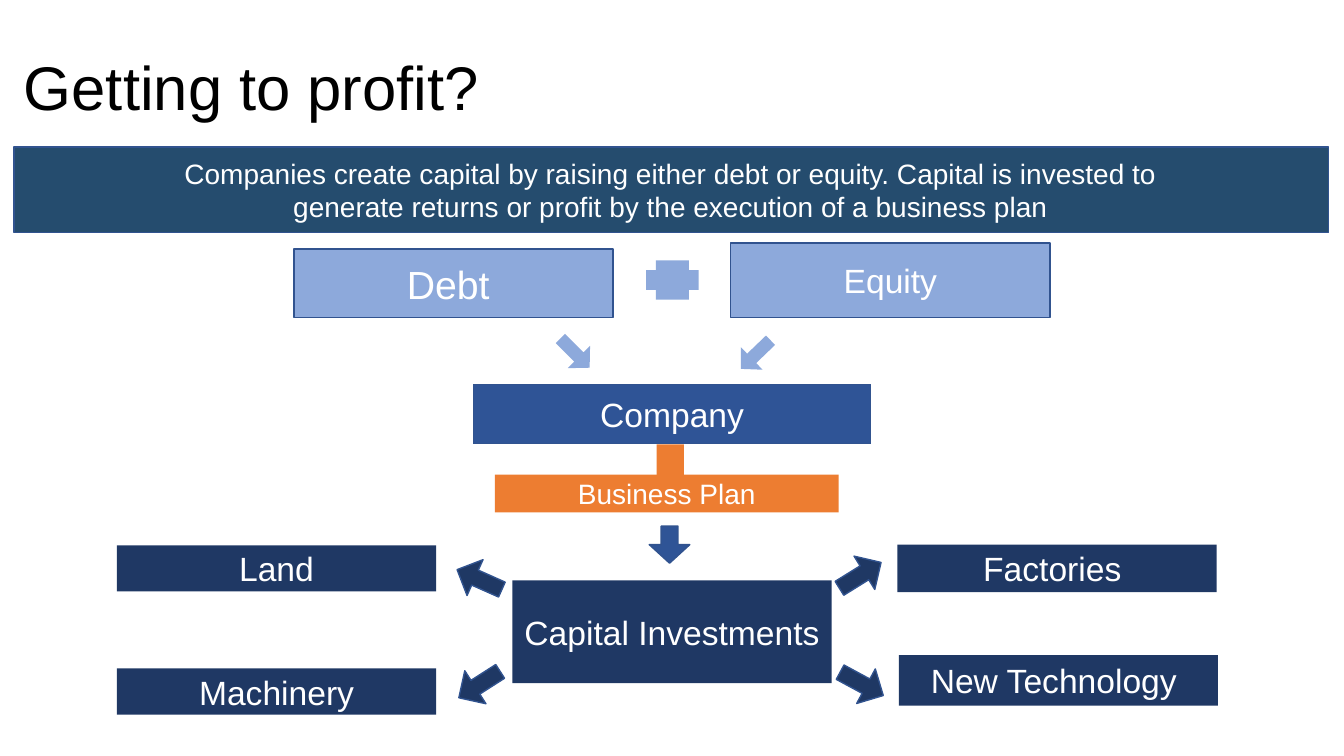
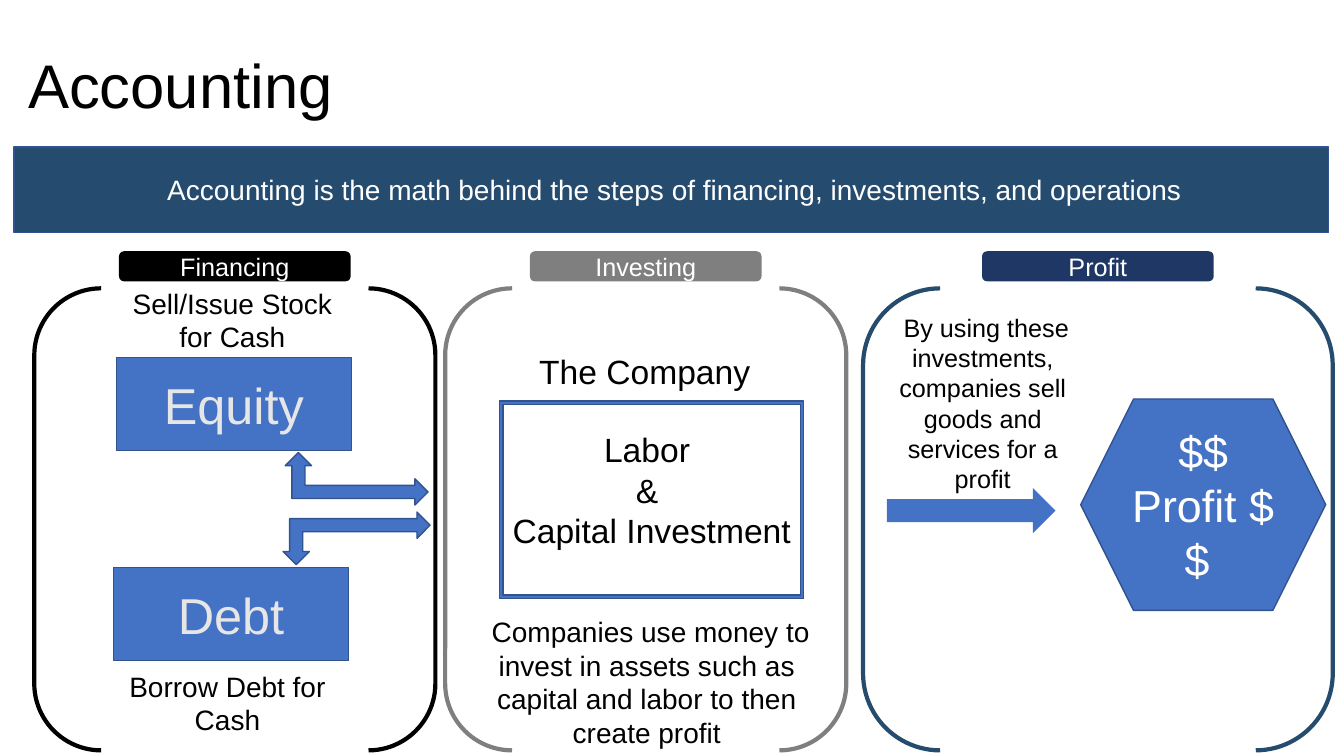
from lxml.etree import SubElement
from pptx import Presentation
from pptx.dml.color import RGBColor
from pptx.enum.shapes import MSO_SHAPE
from pptx.enum.text import MSO_ANCHOR, PP_ALIGN
from pptx.util import Pt

COLORS = {
    "band": "254C6E", "outline": "31538F", "light": "8DA9DB", "medium": "2F5496",
    "dark": "1F3864", "navy": "1F3764", "blue": "4472C4", "orange": "ED7D31",
    "gray": "7F7F7F", "pale": "E7E6E6", "white": "FFFFFF", "black": "000000",
}
FONT = "Arial"
SLIDE_SIZE = (960, 540)
BAND = (10, 105, 939, 61)
TITLE_SIZE = (939, 72)
CAPTION_WIDTH = 760

PROFIT_HEADER = {
    "title": "Getting to profit?",
    "title_at": (10, 29),
    "caption": "Companies create capital by raising either debt or equity. Capital is invested to "
               "generate returns or profit by the execution of a business plan",
    "caption_left": 99,
}
ACCOUNTING_HEADER = {
    "title": "Accounting",
    "title_at": (13, 27),
    "caption": "Accounting is the math behind the steps of financing, investments, and operations",
    "caption_left": 102,
}

FLOW_BOXES = [
    ("Debt ", (210, 178, 228, 49), "light", "outline", 28),
    ("Equity", (522, 173.5, 228, 53.5), "light", "outline", 24),
    ("Company", (338, 274.5, 284, 42.5), "medium", "outline", 24),
    ("Factories ", (641, 389, 228, 34), "dark", None, 24),
    ("New Technology ", (642, 468, 228, 36), "dark", None, 24),
    ("Machinery", (83.5, 477.5, 228, 33), "dark", None, 24),
    ("Land", (83.5, 389.5, 228, 33), "dark", None, 24),
    ("Capital Investments", (366, 414.5, 228, 73.5), "dark", None, 24),
    ("", (469, 317.5, 19.5, 24.5), "orange", None, 20),
    ("Business Plan", (353.5, 339, 245.5, 27), "orange", None, 20),
]
FUNDING_ARROWS = [((396, 241), 45), ((525, 242), 136.1)]
INVESTMENT_ARROWS = [
    ((597, 397), 328.1), ((598, 474.5), 28.4), ((325, 475), 147.4), ((325, 400), 204),
]

FINANCING_BOXES = [("Equity", (83, 255.5)), ("Debt", (81, 405.5))]
FINANCING_BOX_SIZE = (168, 66.5)
FINANCING_ARROWS = [((236, 291, 37.5, 102), False), ((236, 332, 37.5, 105), True)]
NOTES = [
    ("Sell/Issue Stock for Cash", (84, 201, 164, 55.5), 20, PP_ALIGN.CENTER),
    ("Borrow Debt for Cash", (80.5, 474.5, 164, 55.5), 20, PP_ALIGN.CENTER),
    ("Labor \n& \nCapital Investment", (357, 303, 217, 94.5), 24, PP_ALIGN.CENTER),
    ("The Company", (378, 247, 168, 36), 24, PP_ALIGN.LEFT),
    (" Companies use money to invest in assets such as capital and labor to then create profit",
     (330, 435.5, 264, 104.5), 20, PP_ALIGN.CENTER),
    (" By using these investments, companies sell goods and services for a profit",
     (620, 219.5, 164, 138), 18, PP_ALIGN.CENTER),
]
COLUMNS = [
    ("Financing", 24.5, 286.5, "black", "black"),
    ("Investing", 318, 286.5, "gray", "gray"),
    ("Profit", 616.5, 335.5, "band", "navy"),
]
BRACKET_TOP, BRACKET_HEIGHT = 206, 330
LABEL_TOP, LABEL_WIDTH, LABEL_HEIGHT = 179.5, 165.5, 21.5


def color(name):
    return RGBColor.from_string(COLORS[name])


def write(shape, text, size=20, ink="white", align=PP_ALIGN.CENTER,
          anchor=MSO_ANCHOR.MIDDLE, spacing=None):
    frame = shape.text_frame
    frame.word_wrap = True
    frame.vertical_anchor = anchor
    for index, line in enumerate(text.split("\n")):
        paragraph = frame.paragraphs[0] if index == 0 else frame.add_paragraph()
        paragraph.alignment = align
        paragraph.line_spacing = spacing
        run = paragraph.add_run()
        run.text = line
        run.font.name = FONT
        run.font.size = Pt(size)
        run.font.color.rgb = color(ink)


def add_text(slide, text, box, **style):
    write(slide.shapes.add_textbox(*map(Pt, box)), text, **style)


def add_shape(slide, box, fill=None, line=None, preset=MSO_SHAPE.RECTANGLE, width=1,
              rotation=0, adjustments=(), flipped=False):
    shape = slide.shapes.add_shape(preset, *map(Pt, box))
    shape.shadow.inherit = False
    shape.rotation = rotation
    for index, value in enumerate(adjustments):
        shape.adjustments[index] = value
    if fill:
        shape.fill.solid()
        shape.fill.fore_color.rgb = color(fill)
    else:
        shape.fill.background()
    if line:
        shape.line.color.rgb = color(line)
        shape.line.width = Pt(width)
    else:
        shape.line.fill.background()
    if flipped:
        shape._element.spPr.xfrm.set("flipH", "1")
    return shape


def add_arrow(slide, box, fill, line=None, rotation=0, adjustments=(0.415, 0.5)):
    add_shape(slide, box, fill, line, MSO_SHAPE.RIGHT_ARROW,
              rotation=rotation, adjustments=adjustments)


def start_slide(presentation, header):
    slide = presentation.slides.add_slide(presentation.slide_layouts[6])
    add_shape(slide, BAND, "band", "outline")
    caption_box = (header["caption_left"], BAND[1], CAPTION_WIDTH, BAND[3])
    add_text(slide, header["caption"], caption_box)
    add_text(slide, header["title"], header["title_at"] + TITLE_SIZE, size=44, ink="black",
             align=PP_ALIGN.LEFT, spacing=0.9)
    return slide


def build_profit(presentation):
    slide = start_slide(presentation, PROFIT_HEADER)
    for text, box, fill, line, size in FLOW_BOXES:
        shape = add_shape(slide, box, fill, line)
        if text:
            write(shape, text, size=size)
    add_shape(slide, (461.5, 186, 37.5, 28), "light", preset=MSO_SHAPE.CROSS)
    for position, rotation in FUNDING_ARROWS:
        add_arrow(slide, position + (29.5, 22.5), "light", rotation=rotation,
                  adjustments=(0.415, 0.48))
    add_arrow(slide, (465, 374.5, 26.5, 29), "medium", "outline", 90)
    for position, rotation in INVESTMENT_ARROWS:
        add_arrow(slide, position + (35, 28), "dark", "outline", rotation)


def build_accounting(presentation):
    slide = start_slide(presentation, ACCOUNTING_HEADER)
    for text, position in FINANCING_BOXES:
        shape = add_shape(slide, position + FINANCING_BOX_SIZE, "blue", "outline")
        write(shape, text, size=36, ink="pale")
    for box, flipped in FINANCING_ARROWS:
        add_shape(slide, box, "blue", "outline", MSO_SHAPE.LEFT_UP_ARROW,
                  rotation=90, flipped=flipped)
    add_shape(slide, (357, 286.5, 217, 141), "blue", "outline", MSO_SHAPE.FRAME,
              adjustments=(0.017,))
    add_arrow(slide, (633.5, 348.5, 120.5, 32.5), "blue", adjustments=(0.5, 0.5))
    hexagon = add_shape(slide, (772, 285, 175, 151), "blue", "outline", MSO_SHAPE.HEXAGON)
    write(hexagon, "$$ Profit $$ ", size=32)
    for text, box, size, align in NOTES:
        add_text(slide, text, box, size=size, ink="black", align=align, anchor=MSO_ANCHOR.TOP)
    for text, left, width, line, fill in COLUMNS:
        add_shape(slide, (left, BRACKET_TOP, width, BRACKET_HEIGHT), line=line,
                  preset=MSO_SHAPE.DOUBLE_BRACKET, width=3)
        label_left = left + (width - LABEL_WIDTH) / 2
        label = add_shape(slide, (label_left, LABEL_TOP, LABEL_WIDTH, LABEL_HEIGHT), fill,
                          preset=MSO_SHAPE.ROUNDED_RECTANGLE)
        write(label, text, size=18)


def main():
    presentation = Presentation()
    presentation.slide_width, presentation.slide_height = map(Pt, SLIDE_SIZE)
    build_profit(presentation)
    build_accounting(presentation)
    presentation.save("out.pptx")


if __name__ == "__main__":
    main()
